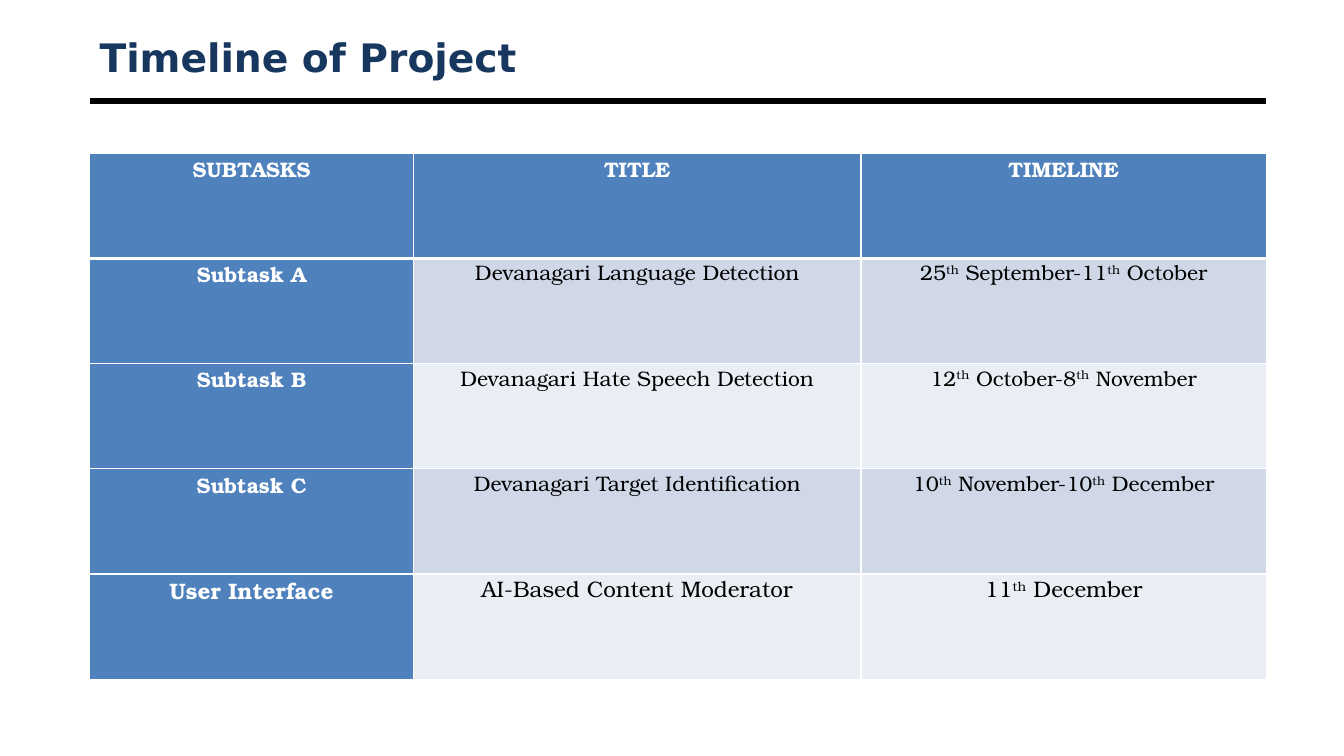
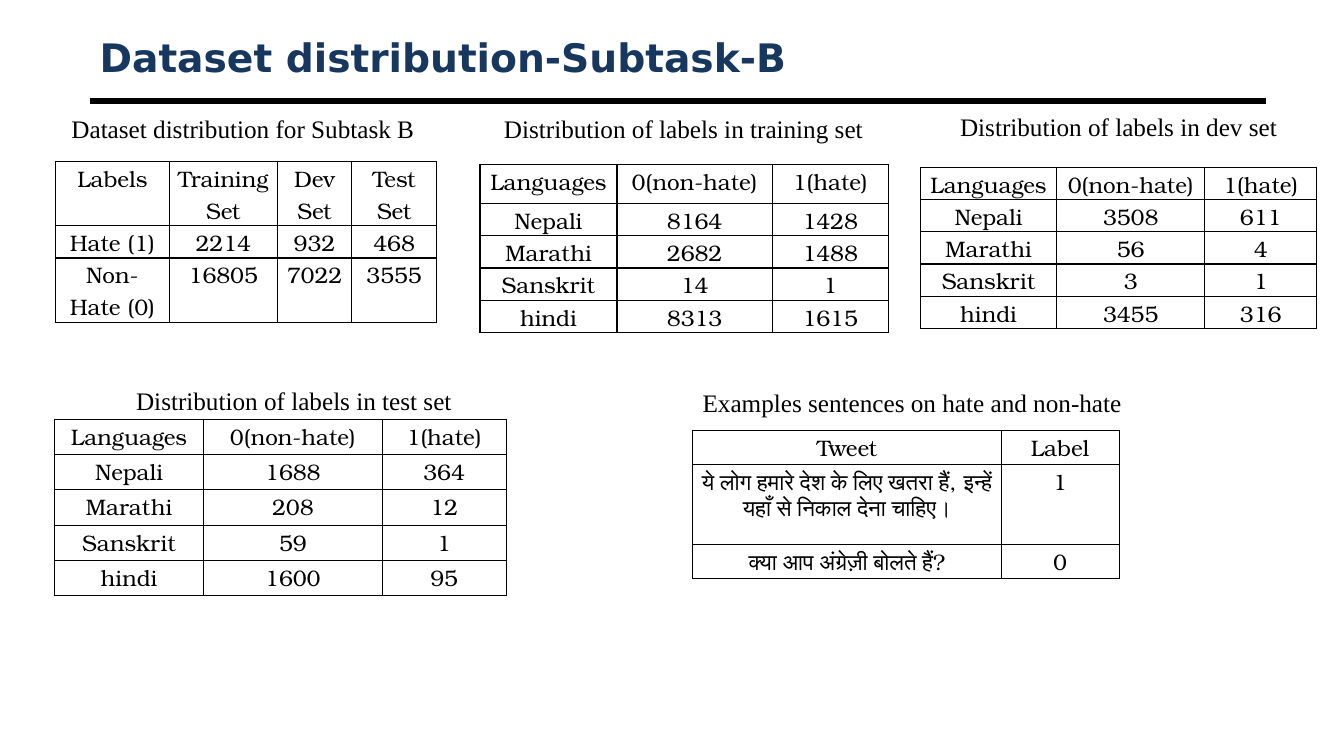
from lxml import etree
from pptx import Presentation
from pptx.dml.color import RGBColor
from pptx.enum import shapes, text
from pptx.oxml import ns
from pptx.util import Inches, Pt

NAVY, BLACK, WHITE = "17375E", "000000", "FFFFFF"
BLUE, BAND_DARK, BAND_LIGHT = "4F81BD", "D0D8E8", "E9EDF4"
TITLE_FONT, TABLE_FONT, CAPTION_FONT = "DejaVu Sans", "TeX Gyre Bonum", "Times New Roman"
LEFT, WIDTH = 0.89, 11.67
ONE_LINE, TWO_LINES = 0.32, 0.64  # row heights that hold the dataset text
CENTER = text.PP_ALIGN.CENTER


def style(paragraph, font, size, color, bold=False, align=None, spaced=False):
    paragraph.font.name = font
    paragraph.font.size = Pt(size)
    paragraph.font.bold = bold
    paragraph.font.color.rgb = RGBColor.from_string(color)
    paragraph.alignment = align
    if spaced:
        paragraph.line_spacing = 1.07
        paragraph.space_after = Pt(8)


def add_grid(slide, left, top, widths, heights, rows, border):
    """Add a bordered table; text between ^ marks is superscript."""
    table = slide.shapes.add_table(
        len(rows), len(widths), Inches(left), Inches(top),
        Inches(sum(widths)), Inches(sum(heights))).table
    for column, width in zip(table.columns, widths):
        column.width = Inches(width)
    for r, (row, height) in enumerate(zip(rows, heights)):
        table.rows[r].height = Inches(height)
        for c, content in enumerate(row):
            cell = table.cell(r, c)
            cell.margin_left = cell.margin_right = Inches(0.07)
            cell.margin_top = cell.margin_bottom = 0
            paragraph = cell.text_frame.paragraphs[0]
            for i, part in enumerate(content.split("^")):
                run = paragraph.add_run()
                run.text = part
                if i % 2:
                    run._r.get_or_add_rPr().set("baseline", "30000")
            props = cell._tc.get_or_add_tcPr()
            for side in ("lnL", "lnR", "lnT", "lnB"):
                # A white grid has a heavy line under its header
                heavy = border == WHITE and (r, side) in ((0, "lnB"), (1, "lnT"))
                line = etree.SubElement(props, ns.qn("a:" + side), w=str(Pt(3 if heavy else 1)))
                fill = etree.SubElement(line, ns.qn("a:solidFill"))
                etree.SubElement(fill, ns.qn("a:srgbClr"), val=border)
            cell.fill.background()
    return table


prs = Presentation()
prs.slide_width, prs.slide_height = Inches(13.33), Inches(7.5)

# Shared title and rule
slides = []
for heading in ("Timeline of Project", "Dataset distribution-Subtask-B"):
    slide = prs.slides.add_slide(prs.slide_layouts[6])
    rule = slide.shapes.add_connector(
        shapes.MSO_CONNECTOR.STRAIGHT, Inches(LEFT), Inches(1), Inches(LEFT + WIDTH), Inches(1))
    rule.line.color.rgb = RGBColor.from_string(BLACK)
    rule.line.width = Pt(4.5)
    etree.SubElement(rule._element.spPr, ns.qn("a:effectLst"))
    title = slide.shapes.add_textbox(Inches(LEFT), Inches(0.3), Inches(WIDTH), Inches(0.53)).text_frame
    title.word_wrap = True
    title.vertical_anchor = text.MSO_ANCHOR.MIDDLE
    title.text = heading
    style(title.paragraphs[0], TITLE_FONT, 28, NAVY, bold=True)
    slides.append(slide)
timeline_slide, dataset_slide = slides

# Timeline table
schedule = [
    ("SUBTASKS", "TITLE", "TIMELINE"),
    ("Subtask A", "Devanagari Language Detection", "25^th^ September-11^th^ October"),
    ("Subtask B", "Devanagari Hate Speech Detection", "12^th^ October-8^th^ November"),
    ("Subtask C", "Devanagari Target Identification", "10^th^ November-10^th^ December"),
    ("User Interface", "AI-Based Content Moderator", "11^th^ December"),
]
timeline = add_grid(timeline_slide, LEFT, 1.52, (3.21, 4.44, 4.02), [5.22 / 5] * 5, schedule, WHITE)
for r in range(len(schedule)):
    for c in range(3):
        cell = timeline.cell(r, c)
        heading_cell = r == 0 or c == 0
        color = BLUE if heading_cell else BAND_DARK if r % 2 else BAND_LIGHT
        cell.fill.solid()
        cell.fill.fore_color.rgb = RGBColor.from_string(color)
        style(cell.text_frame.paragraphs[0], TABLE_FONT, 16 if r == 4 else 15,
              WHITE if heading_cell else BLACK, heading_cell, CENTER)

# Label counts per language: (non-hate, hate)
languages = ("Nepali", "Marathi", "Sanskrit", "hindi")
training, dev, test = [
    [("Languages", "0(non-hate)", "1(hate)")]
    + [(name, str(non_hate), str(hate)) for name, (non_hate, hate) in zip(languages, counts)]
    for counts in (
        ((8164, 1428), (2682, 1488), (14, 1), (8313, 1615)),
        ((3508, 611), (56, 4), (3, 1), (3455, 316)),
        ((1688, 364), (208, 12), (59, 1), (1600, 95)),
    )
]
overall = [
    ("Labels", "Training Set", "Dev Set", "Test Set"),
    ("Hate (1)", "2214", "932", "468"),
    ("Non-Hate (0)", "16805", "7022", "3555"),
]
examples = [
    ("Tweet", "Label"),
    ("ये लोग हमारे देश के लिए खतरा हैं, इन्हें यहाँ से निकाल देना चाहिए।", "1"),
    ("क्या आप अंग्रेज़ी बोलते हैं?", "0"),
]

# Dataset tables: left, top, column widths, row heights, rows
for left, top, widths, heights, rows in (
    (0.55, 1.6, (1.13, 1.07, 0.74, 0.84), (TWO_LINES, ONE_LINE, TWO_LINES), overall),
    (4.76, 1.63, (1.36, 1.54, 1.15), [0.39] + [ONE_LINE] * 4, training),
    (9.13, 1.66, (1.35, 1.47, 1.11), [ONE_LINE] * 5, dev),
    (0.54, 4.16, (1.48, 1.77, 1.23), [0.35] * 5, test),
    (6.87, 4.27, (3.06, 1.17), (0.34, 0.79, 0.34), examples),
):
    grid = add_grid(dataset_slide, left, top, widths, heights, rows, BLACK)
    for cell in grid.iter_cells():
        style(cell.text_frame.paragraphs[0], TABLE_FONT, 16, BLACK, align=CENTER, spaced=True)

# Captions: left, top, width, wording, alignment
for left, top, width, wording, align in (
    (0.26, 1.05, 4.3, "Dataset distribution for Subtask B", CENTER),
    (4.61, 1.05, 4.34, "Distribution of labels in training set", CENTER),
    (9.13, 1.03, 3.93, "Distribution of labels in dev set", CENTER),
    (0.89, 3.75, 4.05, "Distribution of labels in test set", CENTER),
    (6.87, 3.79, 4.47, "Examples sentences on hate and non-hate", None),
):
    caption = dataset_slide.shapes.add_textbox(
        Inches(left), Inches(top), Inches(width), Inches(0.42)).text_frame
    caption.word_wrap = True
    caption.text = wording
    style(caption.paragraphs[0], CAPTION_FONT, 18, BLACK, align=align, spaced=align == CENTER)

prs.save("out.pptx")
